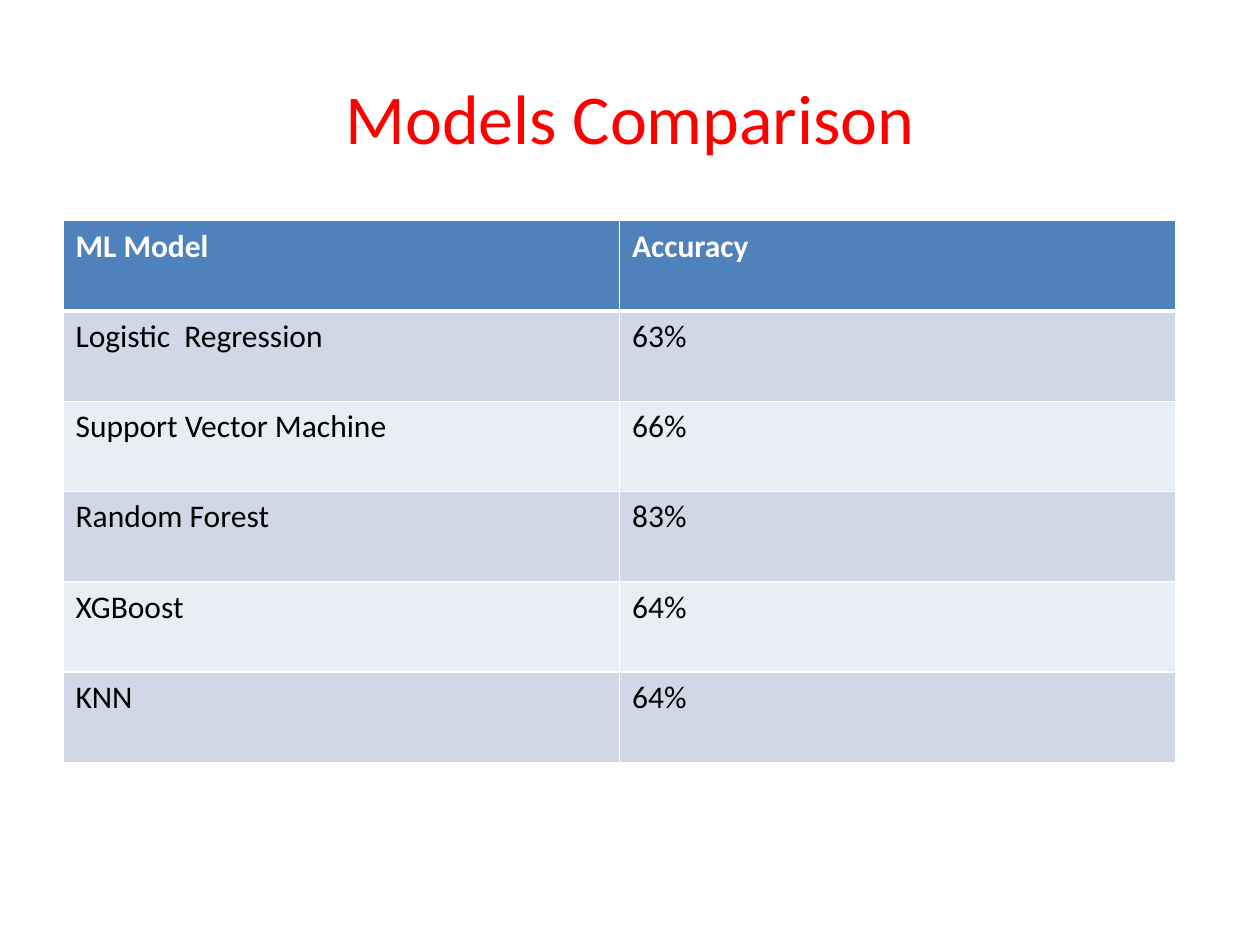
from lxml import etree
from pptx import Presentation
from pptx.dml.color import RGBColor
from pptx.enum.text import MSO_ANCHOR, PP_ALIGN
from pptx.oxml.ns import qn
from pptx.util import Cm, Pt

RED = RGBColor(0xFF, 0x00, 0x00)
WHITE = RGBColor(0xFF, 0xFF, 0xFF)
BLACK = RGBColor(0x00, 0x00, 0x00)
HEADER_BLUE = RGBColor(0x4F, 0x81, 0xBD)
BANDS = (RGBColor(0xD0, 0xD8, 0xE8), RGBColor(0xE9, 0xED, 0xF4))

TITLE_FONT = {"name": "Calibri", "size": Pt(40)}
HEADER_FONT = {"name": "Calibri", "size": Pt(18), "bold": True}
BODY_FONT = {"name": "Calibri", "size": Pt(18), "bold": False}

ROWS = [
    ("ML Model", "Accuracy"),
    ("Logistic  Regression", "63%"),
    ("Support Vector Machine", "66%"),
    ("Random Forest", "83%"),
    ("XGBoost", "64%"),
    ("KNN", "64%"),
]


def add_run(p, text, font, color):
    r = p.add_run()
    r.text = text
    for name, value in font.items():
        setattr(r.font, name, value)
    r.font.color.rgb = color


def set_borders(cell, widths):
    """Draw white borders; line elements must come before the fill."""
    tc_pr = cell._tc.get_or_add_tcPr()
    for i, (side, width) in enumerate(widths.items()):
        ln = etree.Element(qn(f"a:ln{side}"), w=str(Pt(width)))
        fill = etree.SubElement(ln, qn("a:solidFill"))
        etree.SubElement(fill, qn("a:srgbClr"), val=str(WHITE))
        tc_pr.insert(i, ln)


def add_title(s, text):
    sp = s.shapes.title
    box = {"left": Cm(1.27), "top": Cm(0.76), "width": Cm(22.86), "height": Cm(3.18)}
    for name, value in box.items():
        setattr(sp, name, value)
    tf = sp.text_frame
    tf.vertical_anchor = MSO_ANCHOR.MIDDLE
    p = tf.paragraphs[0]
    p.alignment = PP_ALIGN.CENTER
    add_run(p, text, TITLE_FONT, RED)


def add_accuracy_table(s, rows):
    frame = s.shapes.add_table(len(rows), len(rows[0]),
                               Cm(1.27), Cm(4.45), Cm(22.44), Cm(10.92))
    for i, values in enumerate(rows):
        header = i == 0
        for j, text in enumerate(values):
            cell = frame.table.cell(i, j)
            cell.fill.solid()
            cell.fill.fore_color.rgb = HEADER_BLUE if header else BANDS[(i - 1) % 2]
            # The rule under the header is heavier than the others
            set_borders(cell, {"L": 1, "R": 1, "T": 3 if i == 1 else 1,
                               "B": 3 if header else 1})
            add_run(cell.text_frame.paragraphs[0], text,
                    HEADER_FONT if header else BODY_FONT,
                    WHITE if header else BLACK)


def main():
    prs = Presentation()
    prs.slide_width, prs.slide_height = Cm(25.4), Cm(19.05)
    s = prs.slides.add_slide(prs.slide_layouts[5])
    add_title(s, "Models Comparison")
    add_accuracy_table(s, ROWS)
    prs.save("out.pptx")


if __name__ == "__main__":
    main()
